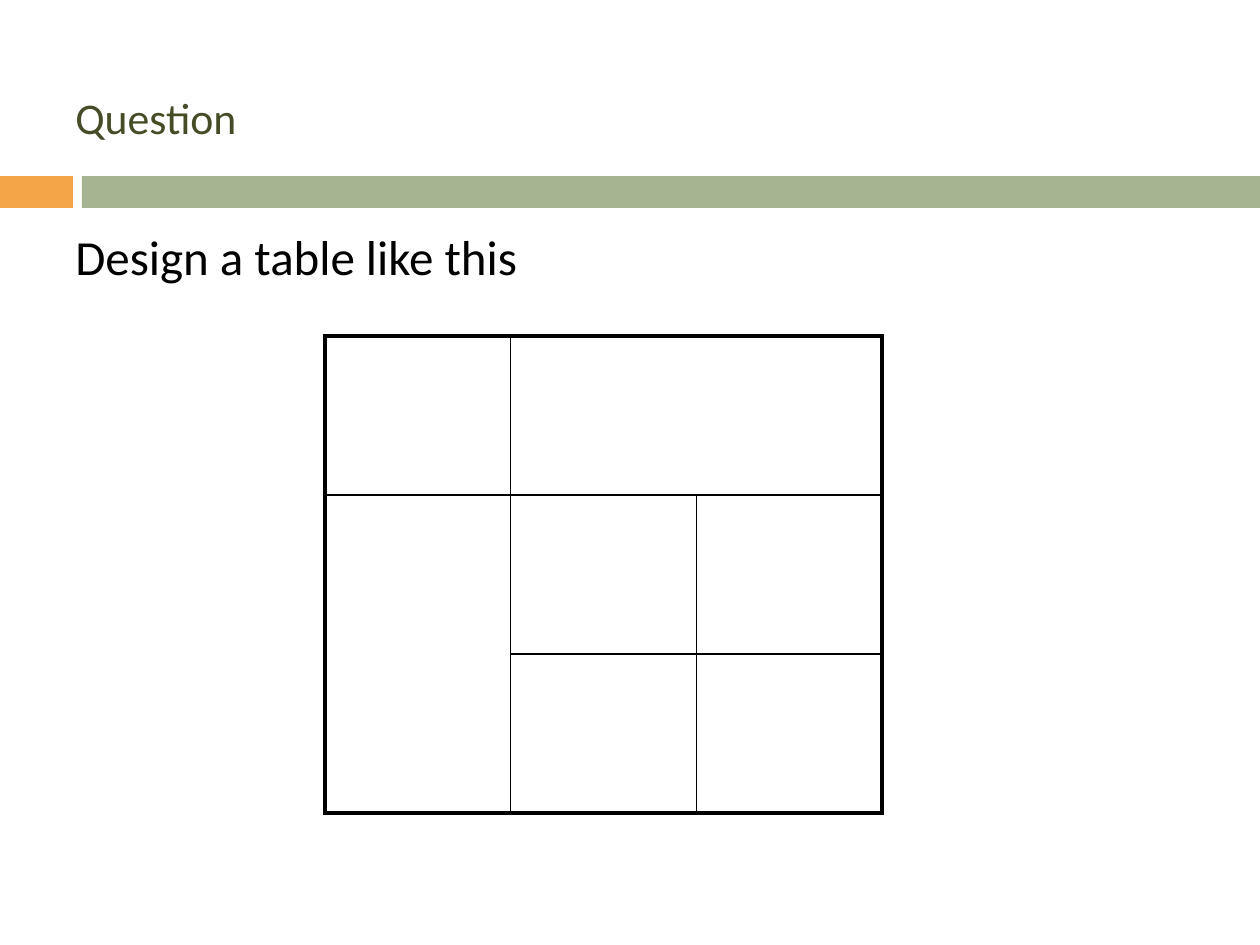
"""Build a question slide with a merged-cell table."""
from lxml import etree
from pptx import Presentation
from pptx.dml.color import RGBColor
from pptx.enum.shapes import MSO_SHAPE
from pptx.enum.text import MSO_ANCHOR
from pptx.oxml.ns import qn
from pptx.util import Emu, Pt

RECTANGLE = MSO_SHAPE.RECTANGLE
TOP, MIDDLE = MSO_ANCHOR.TOP, MSO_ANCHOR.MIDDLE
EMU_PER_PX = 914400 / 126
BLANK_LAYOUT = 6
NO_TABLE_STYLE = "{2D5ABB26-0587-4C30-8999-92F81FD0307C}"
THEME = {
    "font": "Calibri",
    "accent": "F3A447",
    "band": "A5B592",
    "title": "444D26",
    "ink": "000000",
    "title_size": 25,
    "body_size": 28,
    "outer_line": 2.25,
    "inner_line": 1,
}


def px(*lengths):
    return [Emu(round(length * EMU_PER_PX)) for length in lengths]


def add_border(cell, side, width):
    properties = cell._tc.get_or_add_tcPr()
    line = etree.SubElement(properties, qn(f"a:ln{side}"), w=str(Pt(width)))
    fill = etree.SubElement(line, qn("a:solidFill"))
    etree.SubElement(fill, qn("a:srgbClr"), val=THEME["ink"])


presentation = Presentation()
presentation.slide_width, presentation.slide_height = px(1260, 945)
slide = presentation.slides.add_slide(presentation.slide_layouts[BLANK_LAYOUT])

for left, width, color in [(0, 73, "accent"), (82, 1178, "band")]:
    shape = slide.shapes.add_shape(RECTANGLE, *px(left, 176, width, 32))
    shape.shadow.inherit = False
    shape.fill.solid()
    shape.fill.fore_color.rgb = RGBColor.from_string(THEME[color])
    shape.line.fill.background()

texts = [
    ("Question", (63, 38, 1134, 158), MIDDLE, "title", "title_size", 0),
    ("Design a table like this", (63, 220, 557, 624), TOP, "ink", "body_size", 7),
]
for text, box, anchor, color, size, space_before in texts:
    frame = slide.shapes.add_textbox(*px(*box)).text_frame
    frame.word_wrap = True
    frame.vertical_anchor = anchor
    paragraph = frame.paragraphs[0]
    paragraph.text = text
    paragraph.space_before = Pt(space_before)
    font_format = {"name": THEME["font"], "size": Pt(THEME[size])}
    for attribute, value in font_format.items():
        setattr(paragraph.font, attribute, value)
    paragraph.font.color.rgb = RGBColor.from_string(THEME[color])

count = 3
table = slide.shapes.add_table(count, count, *px(325, 336, 557, 477)).table
table.first_row = table.horz_banding = False
table._tbl.tblPr.find(qn("a:tableStyleId")).text = NO_TABLE_STYLE
for column in table.columns:
    column.width, = px(557 / count)
for row in table.rows:
    row.height, = px(477 / count)
table.cell(0, 1).merge(table.cell(0, 2))
table.cell(1, 0).merge(table.cell(2, 0))

for row in range(count):
    for column in range(count):
        cell = table.cell(row, column)
        outer_sides = {
            "L": column == 0,
            "R": column + cell.span_width == count,
            "T": row == 0,
            "B": row + cell.span_height == count,
        }
        for side, is_outer in outer_sides.items():
            if is_outer or not cell.is_spanned:
                add_border(cell, side, THEME["outer_line" if is_outer else "inner_line"])
        cell.fill.background()

presentation.save("out.pptx")
